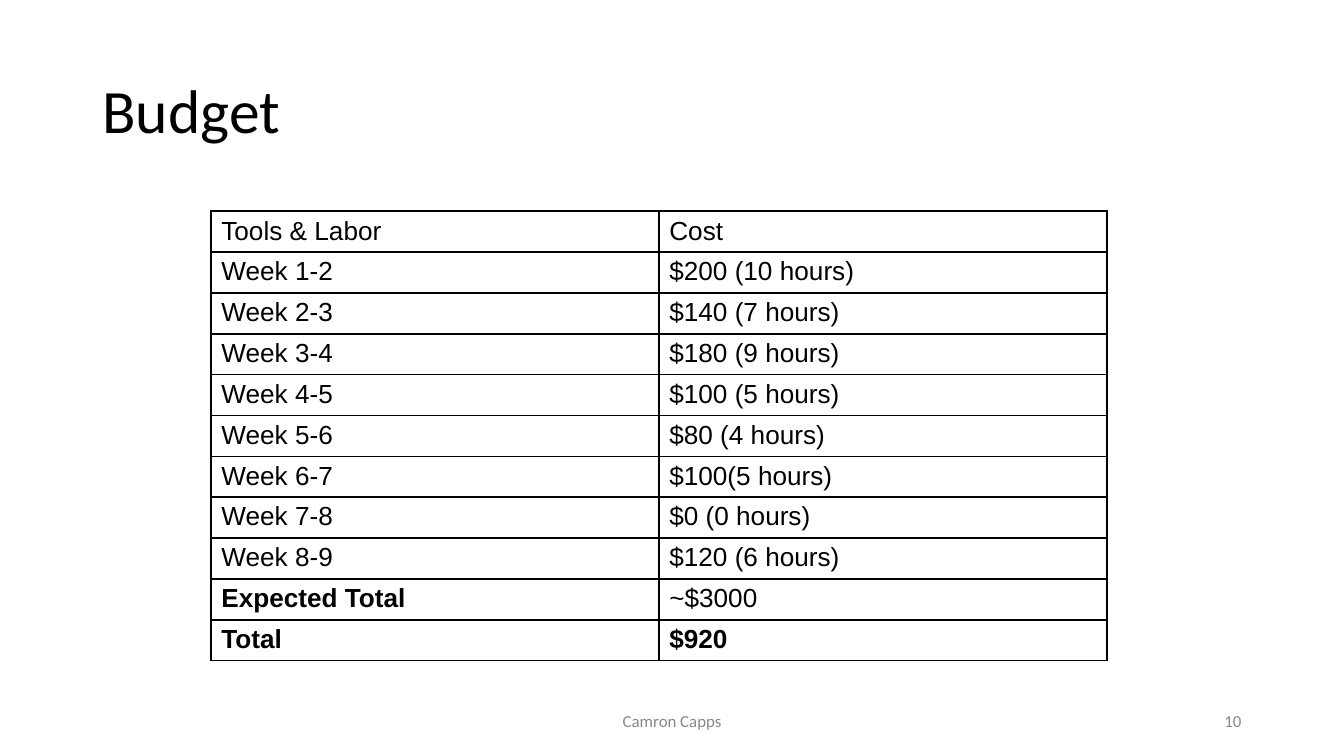
"""Build the project budget slide with its weekly cost table."""
from lxml import etree
from pptx import Presentation
from pptx import util as u
from pptx.dml.color import RGBColor
from pptx.enum import text
from pptx.oxml.ns import qn

Pt = u.Pt
COLORS = {"ink": "000000", "muted": "888888", "paper": "FFFFFF"}
COSTS = [
    ("Tools & Labor", "Cost"),
    ("Week 1-2", "$200 (10 hours)"),
    ("Week 2-3", "$140 (7 hours)"),
    ("Week 3-4", "$180 (9 hours)"),
    ("Week 4-5", "$100 (5 hours)"),
    ("Week 5-6", "$80 (4 hours)"),
    ("Week 6-7", "$100(5 hours)"),
    ("Week 7-8", "$0 (0 hours)"),
    ("Week 8-9", "$120 (6 hours)"),
    ("Expected Total", "~$3000"),
    ("Total", "$920"),
]
BOLD = {"Expected Total", "Total", "$920"}
ROW_HEIGHT = 21.9


def write(frame, words, size=14, font="Arial", color="ink", bold=False,
          align=text.PP_ALIGN.LEFT, anchor=text.MSO_ANCHOR.MIDDLE,
          spacing=1.0, inset=5.4):
    frame.word_wrap = True
    frame.auto_size = text.MSO_AUTO_SIZE.NONE
    frame.vertical_anchor = anchor
    frame.margin_left = frame.margin_right = Pt(inset)
    frame.margin_top = frame.margin_bottom = Pt(inset / 2)
    paragraph = frame.paragraphs[0]
    paragraph.alignment = align
    paragraph.line_spacing = spacing
    run = paragraph.add_run()
    run.text = words
    run.font.size = Pt(size)
    run.font.name = font
    run.font.bold = bold
    run.font.color.rgb = RGBColor.from_string(COLORS[color])


def add_borders(cell, width=1):
    properties = cell._tc.get_or_add_tcPr()
    for position, side in enumerate(("lnL", "lnR", "lnT", "lnB")):
        line = etree.Element(qn(f"a:{side}"), w=str(Pt(width)))
        fill = etree.SubElement(line, qn("a:solidFill"))
        etree.SubElement(fill, qn("a:srgbClr"), val=COLORS["ink"])
        properties.insert(position, line)


deck = Presentation()
deck.slide_width, deck.slide_height = Pt(720), Pt(405)
slide = deck.slides.add_slide(deck.slide_layouts[5])

title = slide.shapes.title
title.left, title.top, title.width, title.height = Pt(49.5), Pt(21.6), Pt(621), Pt(78.3)
write(title.text_frame, "Budget", size=33, font="Calibri", spacing=0.9)

budget = slide.shapes.add_table(
    len(COSTS), 2, Pt(113.2), Pt(113.2), Pt(480), Pt(ROW_HEIGHT * len(COSTS))).table
budget.first_row = budget.horz_banding = False
for row, entries in zip(budget.rows, COSTS):
    row.height = Pt(ROW_HEIGHT)
    for cell, entry in zip(row.cells, entries):
        write(cell.text_frame, entry, bold=entry in BOLD)
        cell.margin_left = cell.margin_right = Pt(5.4)
        cell.margin_top = cell.margin_bottom = Pt(2.7)
        cell.vertical_anchor = text.MSO_ANCHOR.TOP
        cell.fill.solid()
        cell.fill.fore_color.rgb = RGBColor.from_string(COLORS["paper"])
        add_borders(cell)

for words, left, width, align in (
        ("Camron Capps", 238.5, 243, text.PP_ALIGN.CENTER),
        ("10", 508.5, 162, text.PP_ALIGN.RIGHT)):
    footer = slide.shapes.add_textbox(Pt(left), Pt(375.4), Pt(width), Pt(21.6))
    write(footer.text_frame, words, size=9, font="Calibri", color="muted", align=align)

deck.save("out.pptx")
